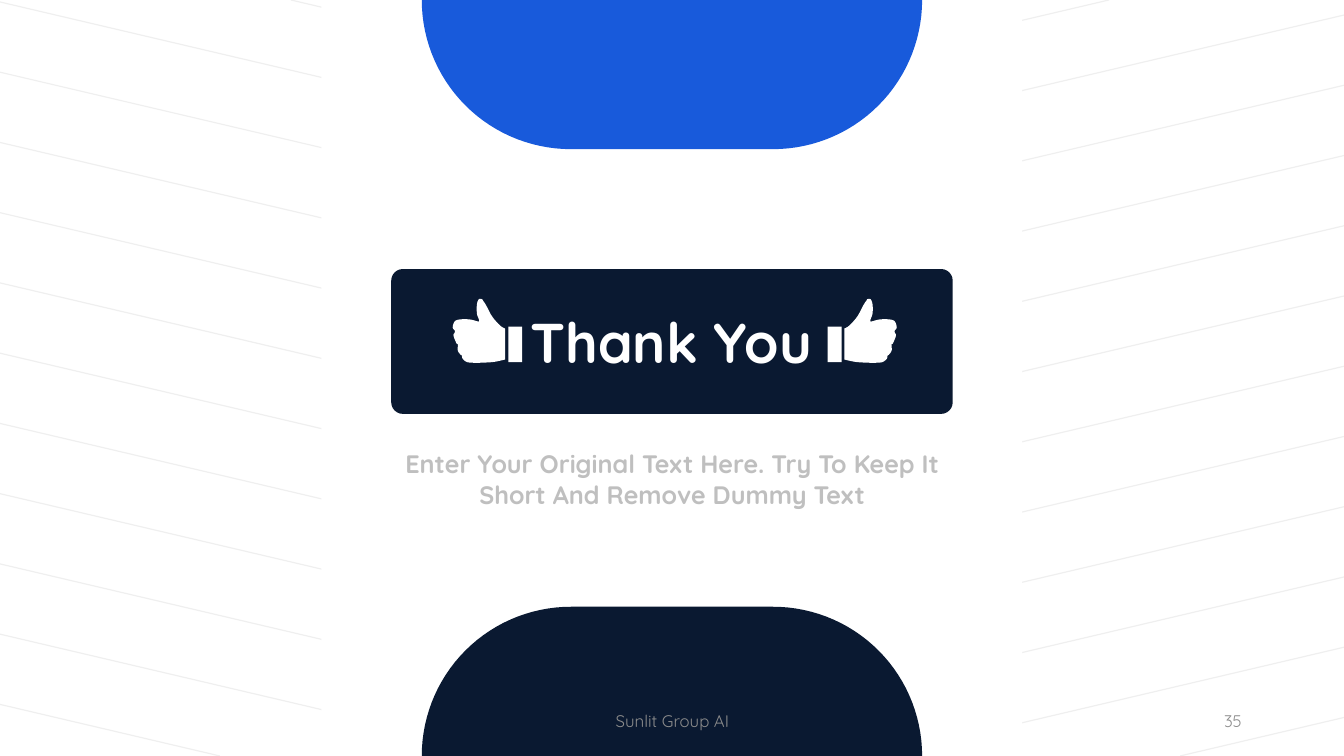
import math

from pptx import Presentation
from pptx.dml.color import RGBColor
from pptx.enum import shapes, text
from pptx.util import Cm, Pt

WHITE = RGBColor(0xFF, 0xFF, 0xFF)
NAVY = RGBColor(0x0A, 0x19, 0x31)
BLUE = RGBColor(0x18, 0x5A, 0xDB)
STRIPE_GREY = RGBColor(0xEF, 0xEF, 0xEF)
MESSAGE_GREY = RGBColor(0xBF, 0xBF, 0xBF)
FOOTER_GREY = RGBColor(0x8C, 0x8C, 0x8C)
FONT = "Quicksand"

# All lengths below are centimetres.
WIDTH, HEIGHT = 33.87, 19.05
STRIPE_SLOPE = 2.98 / 12.7
STRIPE_PITCH = 1.77
STRIPE_THICKNESS = 0.03

# Hand outline as (distance from the wrist, distance from the top).
THUMB = [
    (0, 1.57), (0.28, 1.63), (0.58, 1.65), (0.84, 1.65), (0.97, 1.63), (1.07, 1.55),
    (1.09, 1.47), (1.12, 1.45), (1.19, 1.35), (1.19, 1.22), (1.19, 1.17), (1.22, 1.17),
    (1.3, 0.97), (1.27, 0.89), (1.27, 0.84), (1.32, 0.76), (1.27, 0.61), (1.14, 0.56),
    (0.89, 0.56), (0.69, 0.61), (0.66, 0.61), (0.66, 0.56), (0.71, 0.41), (0.71, 0.18),
    (0.66, 0.05), (0.58, 0.05), (0.56, 0.08), (0.48, 0.2), (0.33, 0.48), (0.13, 0.71),
    (0, 0.79),
]


def paint(shape, color):
    """Give a shape a plain fill without line or shadow."""
    shape.shadow.inherit = False
    shape.fill.solid()
    shape.fill.fore_color.rgb = color
    shape.line.fill.background()


def add_outline(slide, contours, color):
    """Draw one filled freeform from closed contours of points."""
    contours = [[(Cm(x), Cm(y)) for x, y in contour] for contour in contours]
    builder = slide.shapes.build_freeform(*contours[0][0], scale=1.0)
    for index, contour in enumerate(contours):
        if index:
            builder.move_to(*contour[0])
        builder.add_line_segments(contour[1:], close=True)
    paint(builder.convert_to_shape(), color)


def add_block(slide, kind, box, color):
    """Draw a filled preset shape and return it."""
    block = slide.shapes.add_shape(kind, *map(Cm, box))
    paint(block, color)
    return block


def stripe_contours(inner_x, outer_x):
    """Return the stripes that rise from the inner towards the outer edge."""
    side = math.copysign(1, outer_x - inner_x)
    contours = []
    for row in range(12):
        inner_y = 1.26 + row * STRIPE_PITCH
        start = max(0, (inner_y - HEIGHT) / STRIPE_SLOPE)
        end = min(abs(outer_x - inner_x), inner_y / STRIPE_SLOPE)
        (x1, y1), (x2, y2) = [
            (inner_x + side * d, inner_y - STRIPE_SLOPE * d) for d in (start, end)
        ]
        half = STRIPE_THICKNESS / 2
        contours.append([(x1, y1 - half), (x1, y1 + half), (x2, y2 + half), (x2, y2 - half)])
    return contours


def add_half_pill(slide, edge_y, direction, color):
    """Draw a rounded block that grows from a slide edge."""
    left, right, radius = 10.63, 23.24, 3.76
    angles = [math.radians(3 * step) for step in range(31)]
    left_arc = [
        (left + radius * (1 - math.cos(a)), edge_y + direction * radius * math.sin(a))
        for a in angles
    ]
    right_arc = [(left + right - x, y) for x, y in reversed(left_arc)]
    add_outline(slide, [left_arc + right_arc], color)


def smooth(points, steps=5):
    """Run a Catmull-Rom curve through the points."""
    padded = [points[0], *points, points[-1]]
    curve = []
    for a, b, c, d in zip(padded, padded[1:], padded[2:], padded[3:]):
        for step in range(steps):
            t = step / steps
            curve.append(tuple(
                q + t / 2 * (r - p + t * (2 * p - 5 * q + 4 * r - s + t * (3 * (q - r) + s - p)))
                for p, q, r, s in zip(a, b, c, d)
            ))
    return curve + [points[-1]]


def add_thumb_up(slide, wrist_x, direction, cuff_left):
    """Draw a raised thumb with its cuff."""
    hand = [(wrist_x + direction * x, 7.49 + y) for x, y in smooth(THUMB)]
    add_outline(slide, [hand], WHITE)
    add_block(slide, shapes.MSO_SHAPE.RECTANGLE, (cuff_left, 8.23, 0.35, 0.9), WHITE)


def write(holder, box, lines, size, color, bold=False,
          align=text.PP_ALIGN.CENTER, anchor=text.MSO_ANCHOR.TOP):
    """Place a text holder and fill it with formatted lines."""
    holder.left, holder.top, holder.width, holder.height = map(Cm, box)
    frame = holder.text_frame
    frame.text = "\n".join(lines)
    frame.auto_size = text.MSO_AUTO_SIZE.NONE
    frame.word_wrap = True
    frame.vertical_anchor = anchor
    for paragraph in frame.paragraphs:
        paragraph.alignment = align
        paragraph.space_before = Pt(0)
        font = paragraph.font
        font.name, font.size, font.bold = FONT, Pt(size), bold
        font.color.rgb = color


def add_footer(slide, box, words, align):
    """Add a small grey text at the foot of the slide."""
    footer = slide.shapes.add_textbox(0, 0, 0, 0)
    write(footer, box, [words], 12, FOOTER_GREY, align=align, anchor=text.MSO_ANCHOR.MIDDLE)


def main():
    """Build the closing slide."""
    deck = Presentation()
    deck.slide_width, deck.slide_height = Cm(WIDTH), Cm(HEIGHT)
    slide = deck.slides.add_slide(deck.slide_layouts[0])

    stripes = stripe_contours(12.7, 0) + stripe_contours(22.58, WIDTH)
    add_outline(slide, stripes, STRIPE_GREY)
    add_block(slide, shapes.MSO_SHAPE.RECTANGLE, (8.1, 0, 17.66, HEIGHT), WHITE)
    add_half_pill(slide, HEIGHT, -1, NAVY)
    add_half_pill(slide, 0, 1, BLUE)

    banner = add_block(slide, shapes.MSO_SHAPE.ROUNDED_RECTANGLE, (9.86, 6.78, 14.15, 3.65), NAVY)
    banner.adjustments[0] = 0.08
    add_thumb_up(slide, 21.28, 1, 20.86)
    add_thumb_up(slide, 12.73, -1, 12.81)

    thanks, message = slide.placeholders
    for holder in (thanks, message):
        slide.shapes._spTree.append(holder._element)  # bring in front of the banner
    write(thanks, (13.03, 7.62, 7.77, 1.96), ["Thank You"], 40, WHITE, bold=True)
    thanks.text_frame.word_wrap = False
    write(message, (9.27, 11.18, 15.34, 1.8),
          ["Enter Your Original Text Here. Try To Keep It", "Short And Remove Dummy Text"],
          18, MESSAGE_GREY, bold=True)

    add_footer(slide, (11.23, 17.65, 11.43, 1.02), "Sunlit Group AI", text.PP_ALIGN.CENTER)
    add_footer(slide, (23.93, 17.65, 7.62, 1.02), "35", text.PP_ALIGN.RIGHT)
    deck.save("out.pptx")


if __name__ == "__main__":
    main()
